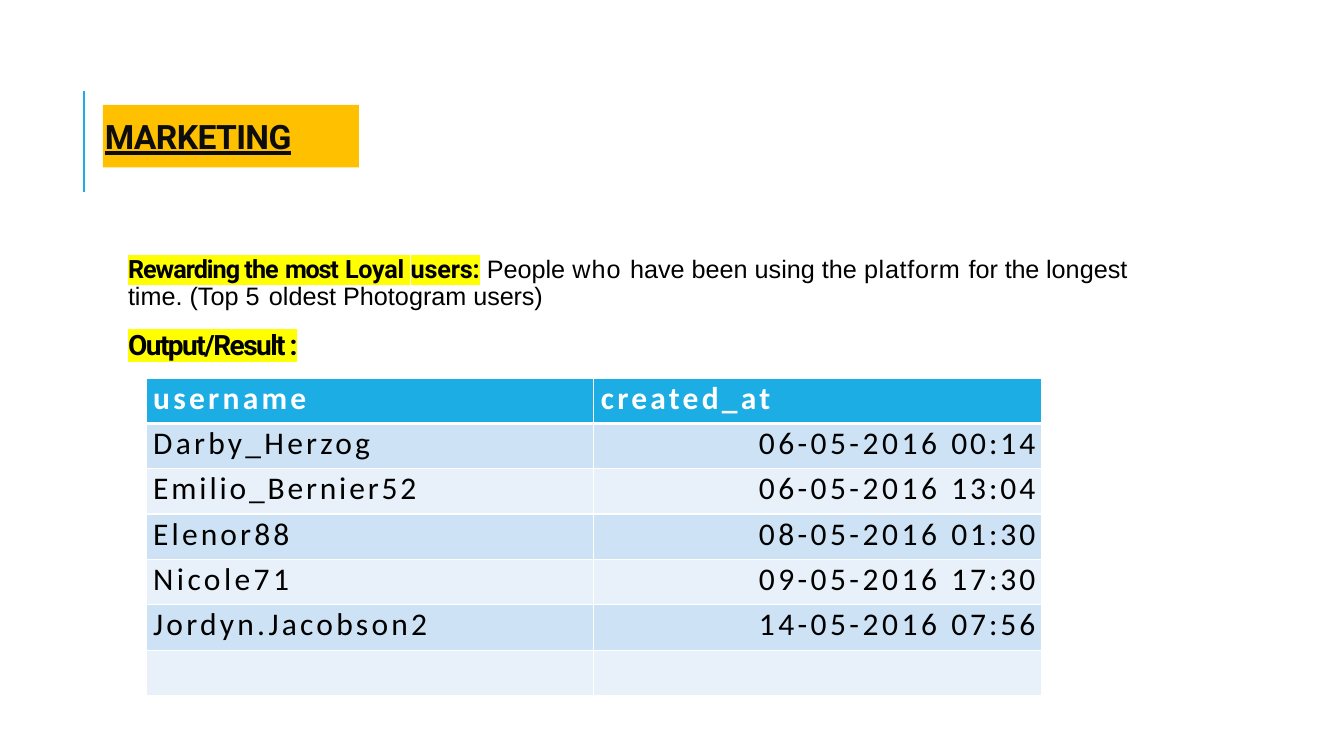
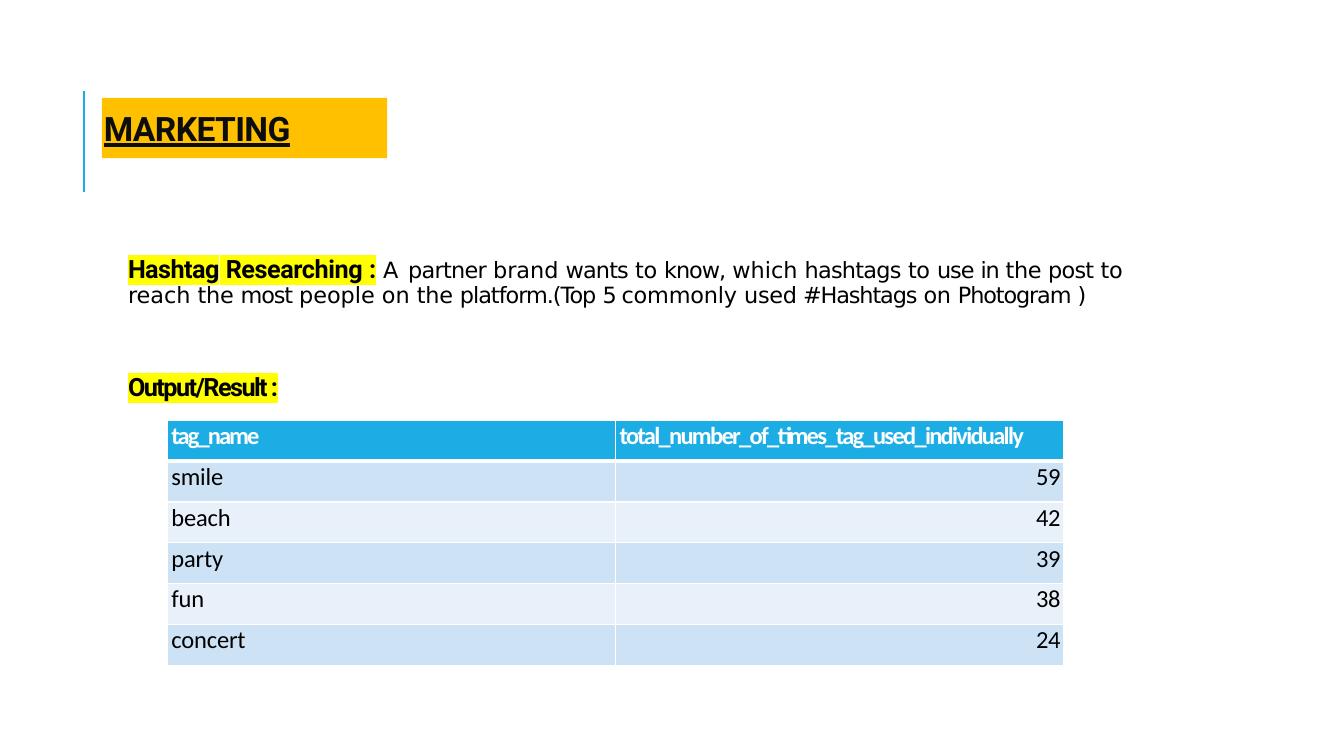
from pptx import Presentation
from pptx.dml.color import RGBColor
from pptx.enum.shapes import MSO_CONNECTOR
from pptx.enum.text import MSO_ANCHOR, MSO_AUTO_SIZE, MSO_UNDERLINE, PP_ALIGN
from pptx.oxml.ns import qn
from pptx.util import Inches, Pt
from lxml import etree

STRAIGHT = MSO_CONNECTOR.STRAIGHT
MIDDLE = MSO_ANCHOR.MIDDLE
NO_FIT = MSO_AUTO_SIZE.NONE
HEAVY = MSO_UNDERLINE.HEAVY_LINE
LEFT, RIGHT = PP_ALIGN.LEFT, PP_ALIGN.RIGHT

BLUE = RGBColor(0x1C, 0xAD, 0xE4)
AMBER = RGBColor(0xFF, 0xC0, 0x00)
YELLOW = RGBColor(0xFF, 0xFF, 0x00)
INK = RGBColor(0x0D, 0x0D, 0x0D)
BLACK = RGBColor(0x00, 0x00, 0x00)
WHITE = RGBColor(0xFF, 0xFF, 0xFF)
BANDS = [RGBColor(0xE8, 0xF1, 0xFA), RGBColor(0xCD, 0xE3, 0xF5)]

# Positions in inches; text is listed as (text, letter spacing in points)
USERS = [("Darby_Herzog", 2.3, "06-05-", "00:14"),
         ("Emilio_Bernier52", 2, "06-05-", "13:04"),
         ("Elenor88", 2.2, "08-05-", "01:30"),
         ("Nicole71", 2.4, "09-05-", "17:30"),
         ("Jordyn.Jacobson2", 2.3, "14-05-", "07:56")]
TAGS = [("smile", 59), ("beach", 42), ("party", 39), ("fun", 38), ("concert", 24)]

SLIDES = [
    {
        "title_box": (1.02, 1.04, 2.54, 0.62),
        "lead": [("Rewarding the", -0.7), (" ", -0.6), ("most", -0.9), (" ", -0.5),
                 ("Loyal", -0.2), (" ", -0.6), ("users:", -0.1)],
        "body_font": ("Arial", 18),
        "body": [(" People ", 0), ("who ", 0.8), ("have been using the ", 0),
                 ("platform ", 0.5), ("for ", 0), ("the ", -0.2),
                 ("longest time. (Top ", 0), ("5 ", 0.8),
                 ("oldest Photogram ", 0), ("users)", -0.1)],
        "result": (20, 12),  # size, space before
        "table_box": (1.45, 3.75, 8.88, 3.15),
        "table_size": 22.5,
        "indent": 0.07,
        "right_margin": 0.06,
        "rows": [([("username", 2.3)], [("created_at", 2.3)])]
        + [([(name, spacing)], [(day, 2.4), ("2016 ", 2.5), (time, 2.1)])
           for name, spacing, day, time in USERS]
        + [([], [])],
    },
    {
        "title_box": (1.01, 0.97, 2.83, 0.6),
        "lead": [("Hashtag", -0.4), (" ", -0.7), ("Researching", -0.3),
                 (" ", -0.8), (":", -0.5)],
        "body_font": ("DejaVu Sans", 16),
        "body": [(" ", 0), ("A ", 0.9), ("partner ", -0.5), ("brand ", 0),
                 ("wants ", -0.6), ("to ", -0.2), ("know, ", -0.7), ("which ", 0),
                 ("hashtags ", -0.5), ("to ", -0.2), ("use ", -0.7), ("in ", -0.9),
                 ("the", -0.2), (" post ", -0.5), ("to ", -0.2), ("reach ", 0),
                 ("the ", -0.2), ("most ", -0.8), ("people on ", 0), ("the ", -0.2),
                 ("platform.(Top ", -0.7), ("5 ", -1.7), ("commonly ", -0.1),
                 ("used", -0.2), (" #Hashtags ", -0.8), ("on ", -0.2),
                 ("Photogram ", -0.8), (")", -0.5)],
        "result": (18, 45.5),
        "table_box": (1.66, 4.17, 8.89, 2.43),
        "table_size": 17.5,
        "indent": 0.04,
        "right_margin": 0.03,
        "rows": [([("tag_name", -1.4)],
                  [("total_number_of_times_tag_used_individually", -1.25)])]
        + [([(tag, -0.1)], [(str(count), -0.2)]) for tag, count in TAGS],
    },
]


def set_font(font, name, size, color, bold):
    font.name, font.size, font.bold = name, Pt(size), bold
    font.color.rgb = color


def add_runs(p, pieces, name, size, color=BLACK, bold=False, highlight=False):
    for text, spacing in pieces:
        r = p.add_run()
        r.text = text
        set_font(r.font, name, size, color, bold)
        r.font._element.set("spc", str(round(spacing * 100)))
        if highlight:
            mark = etree.Element(qn("a:highlight"))
            etree.SubElement(mark, qn("a:srgbClr"), val=str(YELLOW))
            r.font._element.find(qn("a:solidFill")).addnext(mark)


prs = Presentation()
prs.slide_width, prs.slide_height = Inches(13.33), Inches(7.5)

for data in SLIDES:
    s = prs.slides.add_slide(prs.slide_layouts[5])

    # Accent rule beside the title
    rule = s.shapes.add_connector(STRAIGHT, Inches(0.83), Inches(1.9),
                                  Inches(0.83), Inches(0.9))
    rule.line.color.rgb = BLUE
    rule.line.width = Pt(1.5)
    etree.SubElement(rule._element.spPr, qn("a:effectLst"))

    # Title
    title = s.shapes.title
    title.left, title.top, title.width, title.height = map(Inches, data["title_box"])
    title.fill.solid()
    title.fill.fore_color.rgb = AMBER
    tf = title.text_frame
    tf.auto_size = NO_FIT
    tf.vertical_anchor = MIDDLE
    tf.margin_left = Inches(0.02)
    tf.margin_right = tf.margin_top = tf.margin_bottom = 0
    p = tf.paragraphs[0]
    p.alignment = LEFT
    p.space_before = Pt(1)
    add_runs(p, [("MARKETING", -0.45)], "Roboto", 24, INK, True)
    p.runs[0].font.underline = HEAVY

    # Question and result heading
    box = s.shapes.add_textbox(Inches(1.12), Inches(2.5), Inches(10.5), Inches(4.4))
    tf = box.text_frame
    tf.word_wrap = True
    tf.margin_left = Inches(0.15)
    tf.margin_right = tf.margin_top = tf.margin_bottom = Inches(0.05)
    p = tf.paragraphs[0]
    p.line_spacing, p.space_after = 0.9, Pt(2)
    add_runs(p, data["lead"], "Roboto", 18, bold=True, highlight=True)
    add_runs(p, data["body"], *data["body_font"])
    size, gap = data["result"]
    p = tf.add_paragraph()
    p.line_spacing, p.space_before = 0.9, Pt(gap)
    add_runs(p, [("Output/Result :", -1.1)], "Roboto", size, bold=True, highlight=True)

    # Result table
    rows = data["rows"]
    table = s.shapes.add_table(len(rows), 2, *map(Inches, data["table_box"])).table
    for i, row in enumerate(rows):
        header = i == 0
        for j, pieces in enumerate(row):
            cell = table.cell(i, j)
            cell.margin_left = Inches(data["indent"])
            cell.margin_right = Inches(data["right_margin"])
            cell.margin_top = Inches(0.01)
            cell.margin_bottom = 0
            if header:
                # Thick rule under the header row
                edge = etree.SubElement(cell._tc.get_or_add_tcPr(), qn("a:lnB"),
                                        w=str(Pt(3)))
                paint = etree.SubElement(edge, qn("a:solidFill"))
                etree.SubElement(paint, qn("a:srgbClr"), val=str(WHITE))
            cell.fill.solid()
            cell.fill.fore_color.rgb = BLUE if header else BANDS[i % 2]
            p = cell.text_frame.paragraphs[0]
            p.alignment = RIGHT if j and not header else LEFT
            add_runs(p, pieces, "Calibri", data["table_size"],
                     WHITE if header else BLACK, header)

prs.save("out.pptx")
